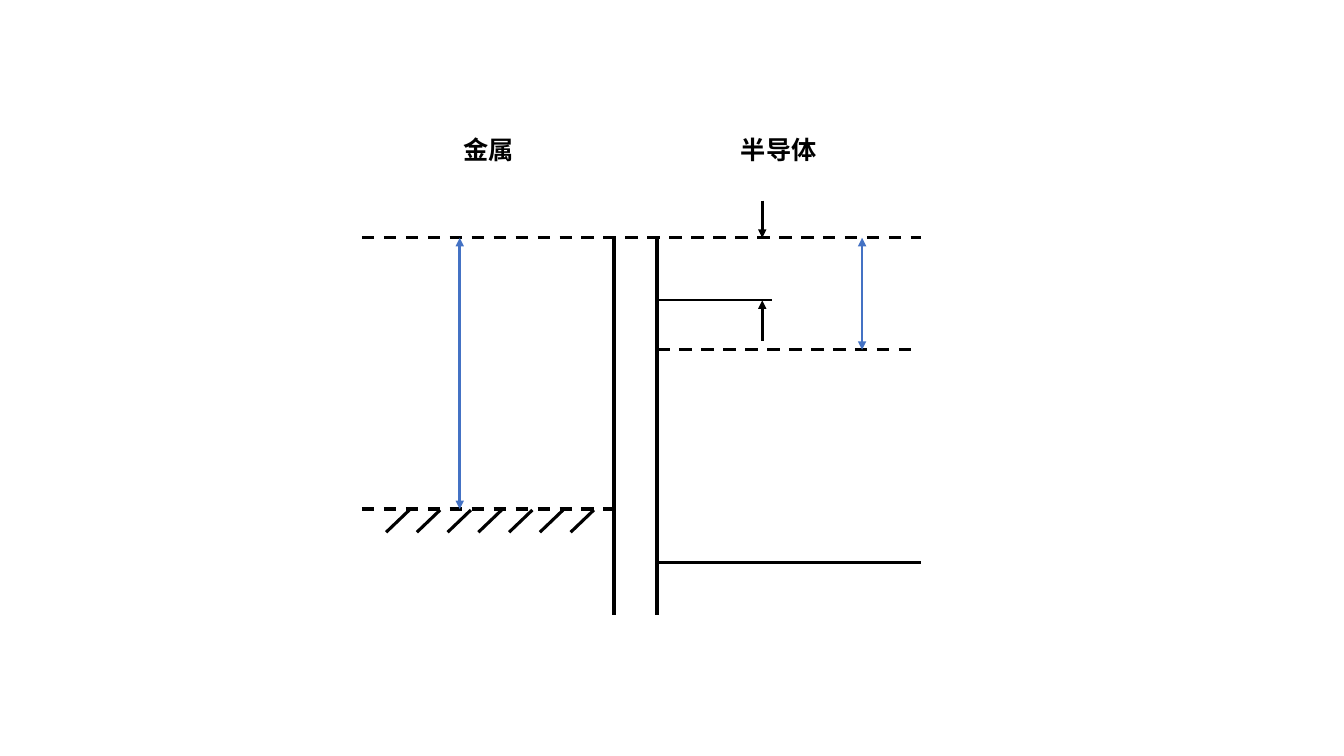
"""Draw the energy bands of a metal beside a semiconductor."""
import pptx
import pptx.dml.color
import pptx.enum.dml
import pptx.enum.shapes
import pptx.enum.text
import pptx.oxml
import pptx.oxml.ns
import pptx.util

Inches = pptx.util.Inches
RGBColor = pptx.dml.color.RGBColor
BLACK = RGBColor(0x00, 0x00, 0x00)
BLUE = RGBColor(0x44, 0x72, 0xC4)
FACE = "Noto Sans CJK SC"
DASH = pptx.enum.dml.MSO_LINE.DASH
VACUUM, BAND, FERMI, METAL, VALENCE, BASE = 2.36, 2.98, 3.47, 5.05, 5.58, 6.1
LEFT, WALL, EDGE, RIGHT = 3.59, 6.09, 6.52, 9.13


def add_tag(parent, tag, **values):
    node = pptx.oxml.parse_xml(f"<a:{tag} {pptx.oxml.ns.nsdecls('a')}/>")
    for key, value in values.items():
        node.set(key, value)
    parent.append(node)


def draw(start, end, width=2.25, color=BLACK, dash=None, arrow=False):
    line = slide.shapes.add_connector(
        pptx.enum.shapes.MSO_CONNECTOR.STRAIGHT,
        *[Inches(value) for value in (*start, *end)])
    line.line.color.rgb = color
    line.line.width = pptx.util.Pt(width)
    if dash:
        line.line.dash_style = dash
    if arrow:
        add_tag(line.line._get_or_add_ln(), "tailEnd", type="triangle")
    add_tag(line._element.spPr, "effectLst")


deck = pptx.Presentation()
deck.slide_width = Inches(13.33)
deck.slide_height = Inches(7.5)
slide = deck.slides.add_slide(deck.slide_layouts[6])

for left, right, level, dash in [
    (LEFT, RIGHT, VACUUM, DASH),
    (EDGE, RIGHT, FERMI, DASH),
    (LEFT, WALL, METAL, DASH),
    (EDGE, RIGHT, VALENCE, None),
]:
    draw((left, level), (right, level), dash=dash)

for x in (WALL, EDGE):
    draw((x, BASE), (x, VACUUM), 3)

draw((EDGE, BAND), (7.66, BAND), 1.5)

for step in range(7):
    x = 4.06 + step * 0.305
    draw((x, 5.06), (x - 0.23, 5.28))

for x, start, end, color in [
    (7.56, 1.99, VACUUM, BLACK),
    (7.56, 3.38, BAND, BLACK),
    (8.55, 2.82, FERMI, BLUE),
    (8.55, 2.85, VACUUM, BLUE),
    (4.56, 2.82, METAL, BLUE),
    (4.56, 2.85, VACUUM, BLUE),
]:
    draw((x, start), (x, end), 2, color, arrow=True)

style = {"name": FACE, "size": pptx.util.Pt(18), "bold": True}
for label, left, width in [("金属", 4.5, 0.72), ("半导体", 7.25, 0.98)]:
    box = slide.shapes.add_textbox(
        Inches(left), Inches(1.28), Inches(width), Inches(0.4))
    frame = box.text_frame
    frame.word_wrap = False
    frame.auto_size = pptx.enum.text.MSO_AUTO_SIZE.SHAPE_TO_FIT_TEXT
    run = frame.paragraphs[0].add_run()
    run.text = label
    for key, value in style.items():
        setattr(run.font, key, value)
    run.font.color.rgb = BLACK
    add_tag(run.font._element, "ea", typeface=FACE)

deck.save("out.pptx")
